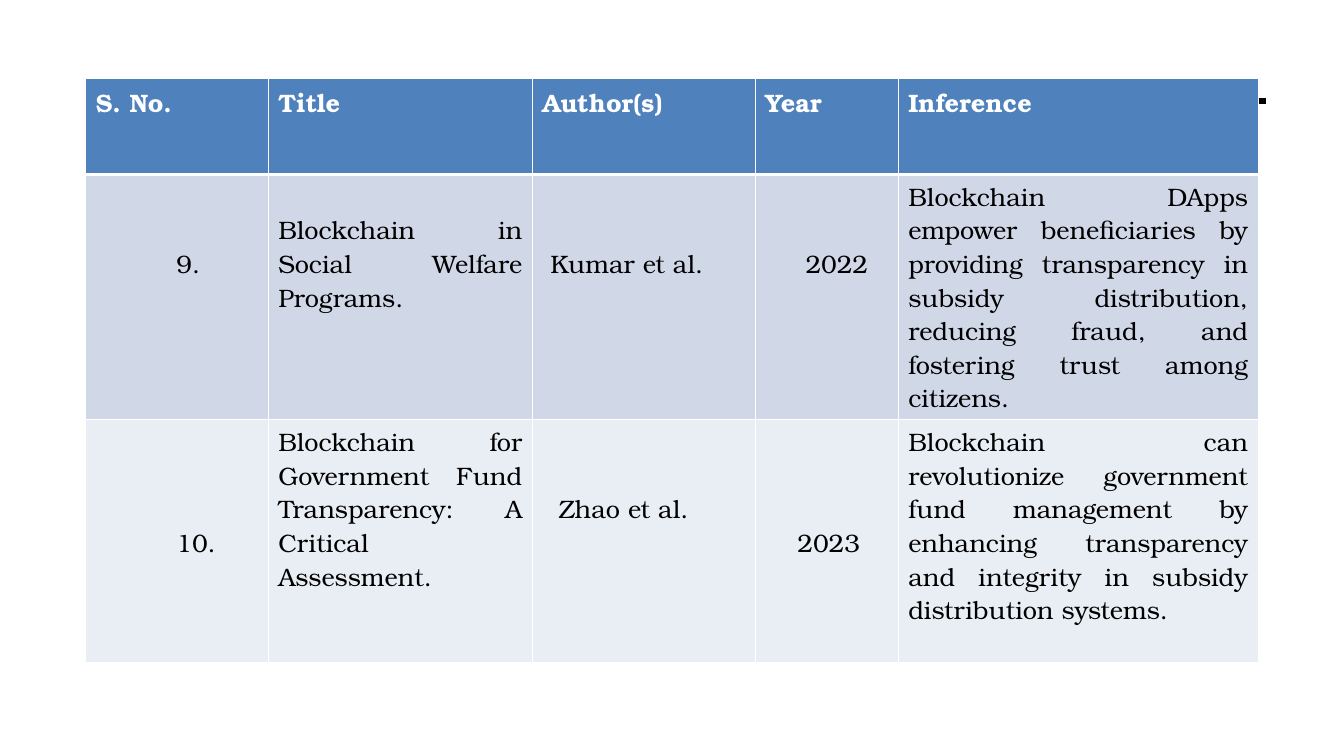
from lxml.etree import SubElement
from pptx import Presentation
from pptx.dml.color import RGBColor
from pptx.enum.shapes import MSO_CONNECTOR
from pptx.enum.text import PP_ALIGN
from pptx.oxml import parse_xml
from pptx.oxml.ns import nsdecls, qn
from pptx.util import Inches, Pt

FONT = "TeX Gyre Bonum"
BLACK = RGBColor(0x00, 0x00, 0x00)
WHITE = RGBColor(0xFF, 0xFF, 0xFF)
BLUE = RGBColor(0x4F, 0x81, 0xBD)
BAND_DARK = RGBColor(0xD0, 0xD8, 0xE8)
BAND_LIGHT = RGBColor(0xE9, 0xED, 0xF4)

HEADERS = ["S. No.", "Title", "Author(s)", "Year", "Inference"]
PAPERS = [
    ["9.", "Blockchain in Social Welfare Programs.", "Kumar et al.", "2022",
     "Blockchain DApps empower beneficiaries by providing transparency in "
     "subsidy distribution, reducing fraud, and fostering trust among citizens."],
    ["10.", "Blockchain for Government Fund Transparency: A Critical Assessment.",
     "Zhao et al.", "2023",
     "Blockchain can revolutionize government fund management by enhancing "
     "transparency and integrity in subsidy distribution systems."],
]
LINES_ABOVE = [[0] * 5, [2, 1, 2, 2, 0], [3, 0, 2, 3, 0]]
INDENTS = [[0] * 5, [0.8, 0, 0.08, 0.4, 0], [0.8, 0, 0.16, 0.32, 0]]
ROW_FILLS = [BLUE, BAND_DARK, BAND_LIGHT]
COL_WIDTHS = [1.81, 2.62, 2.21, 1.42, 3.57]
ROW_HEIGHTS = [0.95, 2.42, 2.41]
LEFT, TOP = 0.85, 0.78
LINE_HEIGHT = 1 / 3


def set_borders(cell, row):
    """Give a cell white borders, thicker below the header row."""
    widths = {"lnL": 1, "lnR": 1, "lnT": 3 if row == 1 else 1, "lnB": 3 if row == 0 else 1}
    tc_pr = cell._tc.get_or_add_tcPr()
    for i, (side, width) in enumerate(widths.items()):
        tc_pr.insert(i, parse_xml(
            f'<a:{side} {nsdecls("a")} w="{Pt(width)}"><a:solidFill>'
            f'<a:srgbClr val="{WHITE}"/></a:solidFill></a:{side}>'))


def fill_cell(cell, row, col, text):
    """Write one table cell with its fill, margins and borders."""
    cell.fill.solid()
    cell.fill.fore_color.rgb = ROW_FILLS[row]
    cell.margin_top = Inches(0.05 + LINES_ABOVE[row][col] * LINE_HEIGHT)
    cell.margin_left = Inches(0.1 + INDENTS[row][col])
    p = cell.text_frame.paragraphs[0]
    p.alignment = PP_ALIGN.JUSTIFY
    r = p.add_run()
    r.text = text
    r.font.name = FONT
    r.font.size = Pt(18)
    r.font.bold = row == 0
    r.font.color.rgb = WHITE if row == 0 else BLACK
    set_borders(cell, row)


def main():
    """Build the literature survey slide."""
    prs = Presentation()
    prs.slide_width, prs.slide_height = Inches(13.33), Inches(7.5)
    slide = prs.slides.add_slide(prs.slide_layouts[6])

    rule = slide.shapes.add_connector(
        MSO_CONNECTOR.STRAIGHT, Inches(0.89), Inches(1), Inches(12.56), Inches(1))
    rule.line.color.rgb = BLACK
    rule.line.width = Pt(4.5)
    SubElement(rule._element.spPr, qn("a:effectLst"))

    table = slide.shapes.add_table(
        len(ROW_HEIGHTS), len(COL_WIDTHS), Inches(LEFT), Inches(TOP),
        Inches(sum(COL_WIDTHS)), Inches(sum(ROW_HEIGHTS))).table
    for column, width in zip(table.columns, COL_WIDTHS):
        column.width = Inches(width)
    for row, height in zip(table.rows, ROW_HEIGHTS):
        row.height = Inches(height)
    for i, texts in enumerate([HEADERS, *PAPERS]):
        for j, text in enumerate(texts):
            fill_cell(table.cell(i, j), i, j, text)

    prs.save("out.pptx")


if __name__ == "__main__":
    main()
